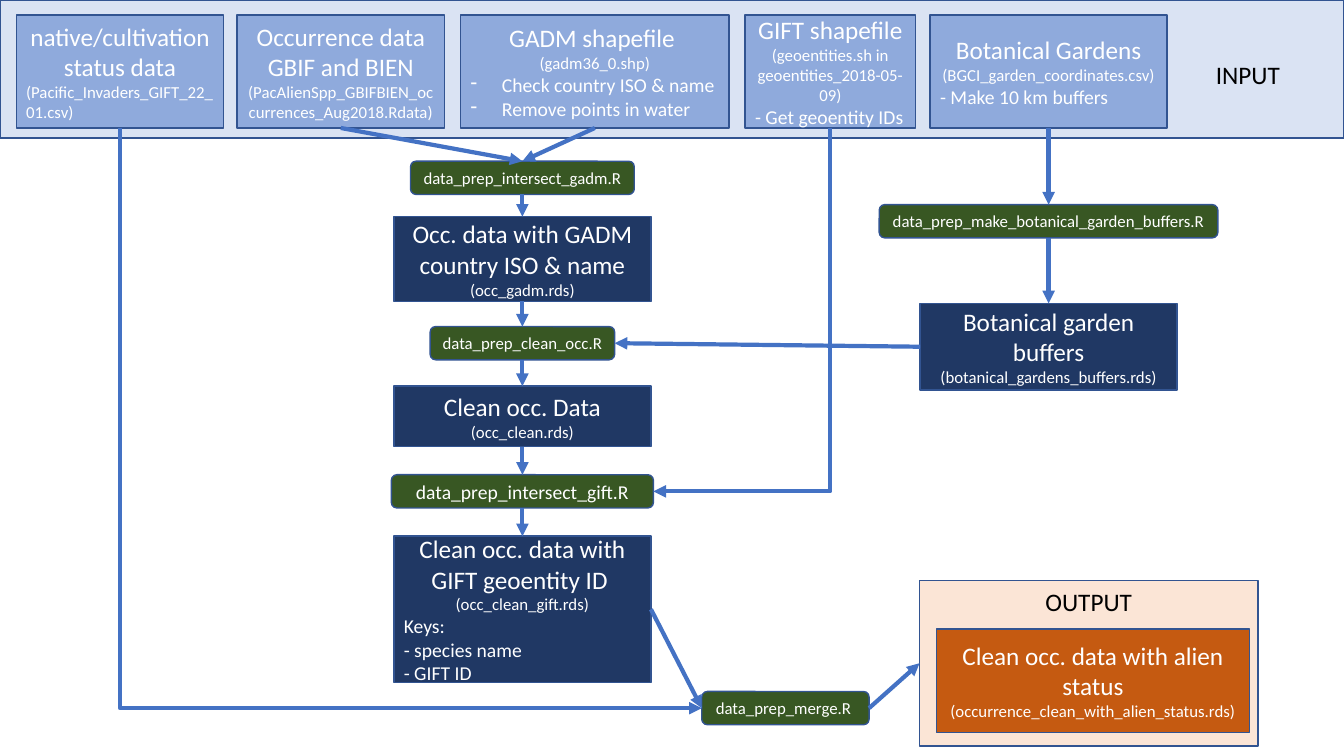
from pptx import Presentation
from pptx.dml.color import RGBColor
from pptx.enum.shapes import MSO_CONNECTOR as CXN, MSO_SHAPE as SHP
from pptx.enum.text import MSO_ANCHOR, MSO_AUTO_SIZE, PP_ALIGN
from pptx.oxml import parse_xml
from pptx.oxml.ns import nsdecls, qn
from pptx.util import Inches, Pt

W, H = Inches(13.33), Inches(7.5)
INPUT, SCRIPT, DATA, RESULT = "8FAADC", "385723", "203864", "C55A11"
INPUT_BG, OUTPUT_BG, EDGE, ARROW = "DAE3F3", "FBE5D6", "325491", "4472C4"
WHITE, BLACK = "FFFFFF", "000000"
TOP, LEFT, BOTTOM, RIGHT = range(4)
MAIN, GARDEN = 38.87, 78.02
STEP_W, SCRIPT_H = 19.13, 4.4


def rgb(code):
    return RGBColor.from_string(code)


def frame(cx, top, w, h):
    x = cx - w / 2
    return [round(v * full / 100) for v, full in ((x, W), (top, H), (w, W), (h, H))]


def title(text):
    return text, 18, "center"


def file(text, align="center"):
    return text, 12, align


def note(text):
    return text, 14, "left"


def bullet(text):
    return text, 14, "bullet"


def write(tf, lines, color):
    for i, (text, size, style) in enumerate(lines):
        p = tf.paragraphs[0] if i == 0 else tf.add_paragraph()
        p.alignment = PP_ALIGN.CENTER if style == "center" else PP_ALIGN.LEFT
        if style == "bullet":
            pPr = p._p.get_or_add_pPr()
            pPr.set("marL", str(Inches(0.31)))
            pPr.set("indent", str(-Inches(0.31)))
            pPr.append(parse_xml(f'<a:buChar {nsdecls("a")} char="-"/>'))
        r = p.add_run()
        r.text = text
        r.font.name, r.font.size = "Calibri", Pt(size)
        r.font.color.rgb = rgb(color)


def box(shapes, fill, place, lines=(), kind=SHP.RECTANGLE):
    s = shapes.add_shape(kind, *frame(*place))
    s.shadow.inherit = False
    s.fill.solid()
    s.fill.fore_color.rgb = rgb(fill)
    s.line.color.rgb = rgb(EDGE)
    s.line.width = Pt(1)
    s.text_frame.word_wrap = True
    s.text_frame.vertical_anchor = MSO_ANCHOR.MIDDLE
    write(s.text_frame, lines, WHITE)
    return s


def script(shapes, cx, top, w, text, size=12):
    return box(shapes, SCRIPT, (cx, top, w, SCRIPT_H), [(text, size, "center")],
               SHP.ROUNDED_RECTANGLE)


def label(shapes, place, text):
    tf = shapes.add_textbox(*frame(*place)).text_frame
    tf.word_wrap = False
    tf.auto_size = MSO_AUTO_SIZE.SHAPE_TO_FIT_TEXT
    write(tf, [(text, 18, "left")], BLACK)


def arrow(shapes, start, start_side, end, end_side, kind=CXN.STRAIGHT):
    c = shapes.add_connector(kind, 0, 0, 0, 0)
    c.begin_connect(start, start_side)
    c.end_connect(end, end_side)
    c.line.color.rgb = rgb(ARROW)
    c.line.width = Pt(3)
    c.line._get_or_add_ln().append(parse_xml(f'<a:tailEnd {nsdecls("a")} type="triangle"/>'))
    c._element.spPr.append(parse_xml(f'<a:effectLst {nsdecls("a")}/>'))
    return c


def corner_arrow(shapes, start, end, end_side):
    c = arrow(shapes, start, BOTTOM, end, end_side, CXN.ELBOW)
    x1, y1, x2, y2 = c.begin_x, c.begin_y, c.end_x, c.end_y
    run, drop = abs(x2 - x1), y2 - y1
    spPr = c._element.spPr
    spPr.find(qn("a:prstGeom")).set("prst", "bentConnector2")
    xfrm = spPr.find(qn("a:xfrm"))
    for flip in ("flipH", "flipV"):
        xfrm.attrib.pop(flip, None)
    xfrm.set("rot", str((270 if x2 > x1 else 90) * 60000))
    if x2 > x1:
        xfrm.set("flipH", "1")
    c.left, c.top = (x1 + x2 - drop) // 2, (y1 + y2 - run) // 2
    c.width, c.height = drop, run


def main():
    prs = Presentation()
    prs.slide_width, prs.slide_height = W, H
    shapes = prs.slides.add_slide(prs.slide_layouts[6]).shapes

    box(shapes, INPUT_BG, (50, 0, 100, 18.27))
    label(shapes, (92.87, 7.2, 6.3, 5.33), "INPUT")
    inputs = [
        (8.93, 15.45, [title("native/cultivation status data"),
                       file("(Pacific_Invaders_GIFT_22_01.csv)", "left")]),
        (25.36, 15.45, [title("Occurrence data GBIF and BIEN"),
                        file("(PacAlienSpp_GBIFBIEN_occurrences_Aug2018.Rdata)")]),
        (44.26, 19.95, [title("GADM shapefile "), file("(gadm36_0.shp)"),
                        bullet("Check country ISO & name"),
                        bullet("Remove points in water")]),
        (61.78, 12.68, [title("GIFT shapefile"),
                        file("(geoentities.sh in geoentities_2018-05-09)"),
                        note("- Get geoentity IDs")]),
        (GARDEN, 17.63, [title("Botanical Gardens"),
                         file("(BGCI_garden_coordinates.csv)"),
                         note("- Make 10 km buffers")]),
    ]
    status, occurrence, gadm, gift, gardens = [
        box(shapes, INPUT, (cx, 2, w, 14.93), lines) for cx, w, lines in inputs]

    steps = [
        (MAIN, 28.67, 11.2, [title("Occ. data with GADM country ISO & name"),
                             file("(occ_gadm.rds)")]),
        (MAIN, 51.07, 8, [title("Clean occ. Data"), file("(occ_clean.rds)")]),
        (MAIN, 70.93, 19.33, [title("Clean occ. data with GIFT geoentity ID "),
                              file("(occ_clean_gift.rds)"), note("Keys: "),
                              note("- species name"), note("- GIFT ID")]),
        (GARDEN, 40.13, 11.47, [title("Botanical garden buffers"),
                                file("(botanical_gardens_buffers.rds)")]),
    ]
    occ_gadm, occ_clean, occ_gift, buffers = [
        box(shapes, DATA, (cx, top, STEP_W, h), lines) for cx, top, h, lines in steps]

    output = shapes.add_group_shape().shapes
    panel = box(output, OUTPUT_BG, (81.02, 76.8, 25.2, 21.87))
    box(output, RESULT, (81.32, 83.2, 23.26, 13.73),
        [title("Clean occ. data with alien status"),
         file("(occurrence_clean_with_alien_status.rds)")])
    label(output, (81.06, 76.93, 8.03, 5.33), "OUTPUT")

    add_gadm = script(shapes, MAIN, 21.33, 16.65, "data_prep_intersect_gadm.R")
    clean = script(shapes, MAIN, 43.2, 13.73, "data_prep_clean_occ.R")
    add_gift = script(shapes, MAIN, 62.8, 19.5, "data_prep_intersect_gift.R", 14)
    make_buffers = script(shapes, GARDEN, 27.07, 25.2,
                          "data_prep_make_botanical_garden_buffers.R")
    merge = script(shapes, 58.44, 91.47, 12.45, "data_prep_merge.R\u00a0")

    main_flow = [add_gadm, occ_gadm, clean, occ_clean, add_gift, occ_gift]
    garden_flow = [gardens, make_buffers, buffers]
    downward = [(occurrence, add_gadm), (gadm, add_gadm)]
    for flow in (main_flow, garden_flow):
        downward += zip(flow, flow[1:])
    for start, end in downward:
        arrow(shapes, start, BOTTOM, end, TOP)
    arrow(shapes, buffers, LEFT, clean, RIGHT)
    arrow(shapes, occ_gift, RIGHT, merge, LEFT)
    arrow(shapes, merge, RIGHT, panel, LEFT)
    corner_arrow(shapes, gift, add_gift, RIGHT)
    corner_arrow(shapes, status, merge, LEFT)

    prs.save("out.pptx")


main()
